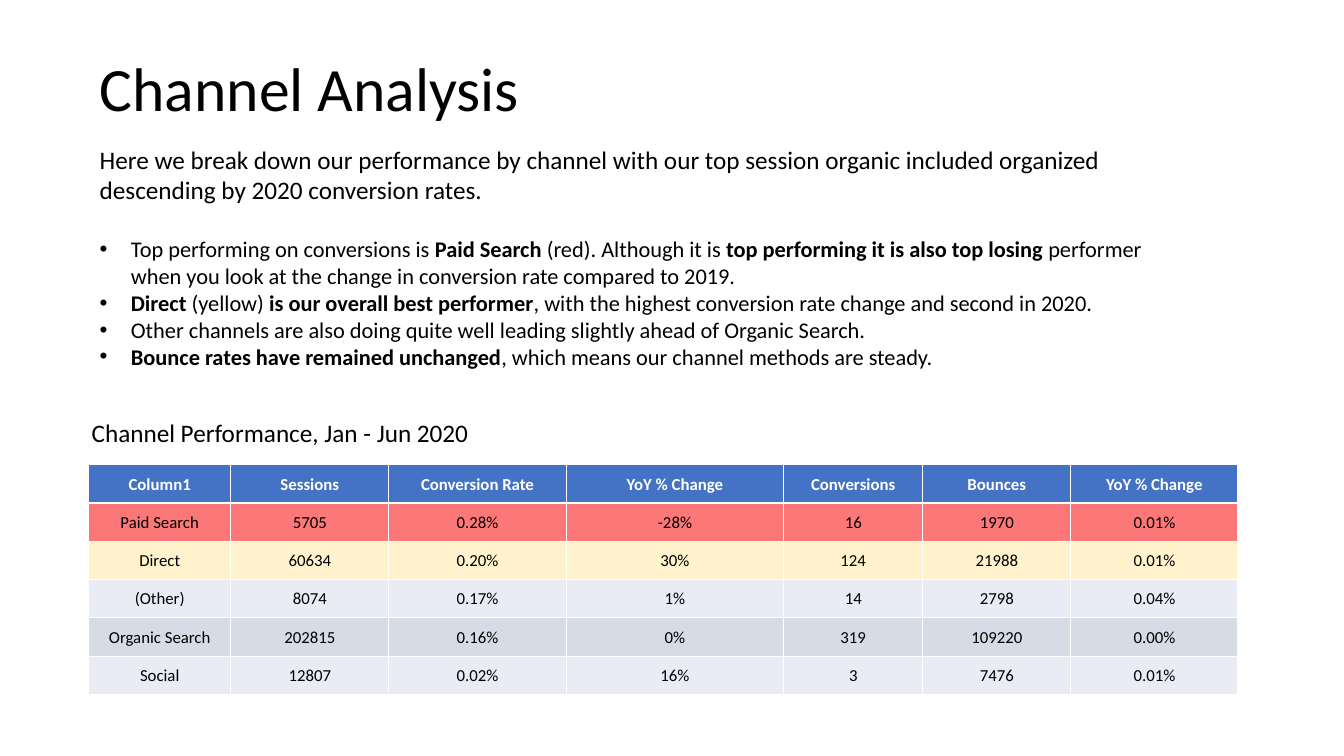
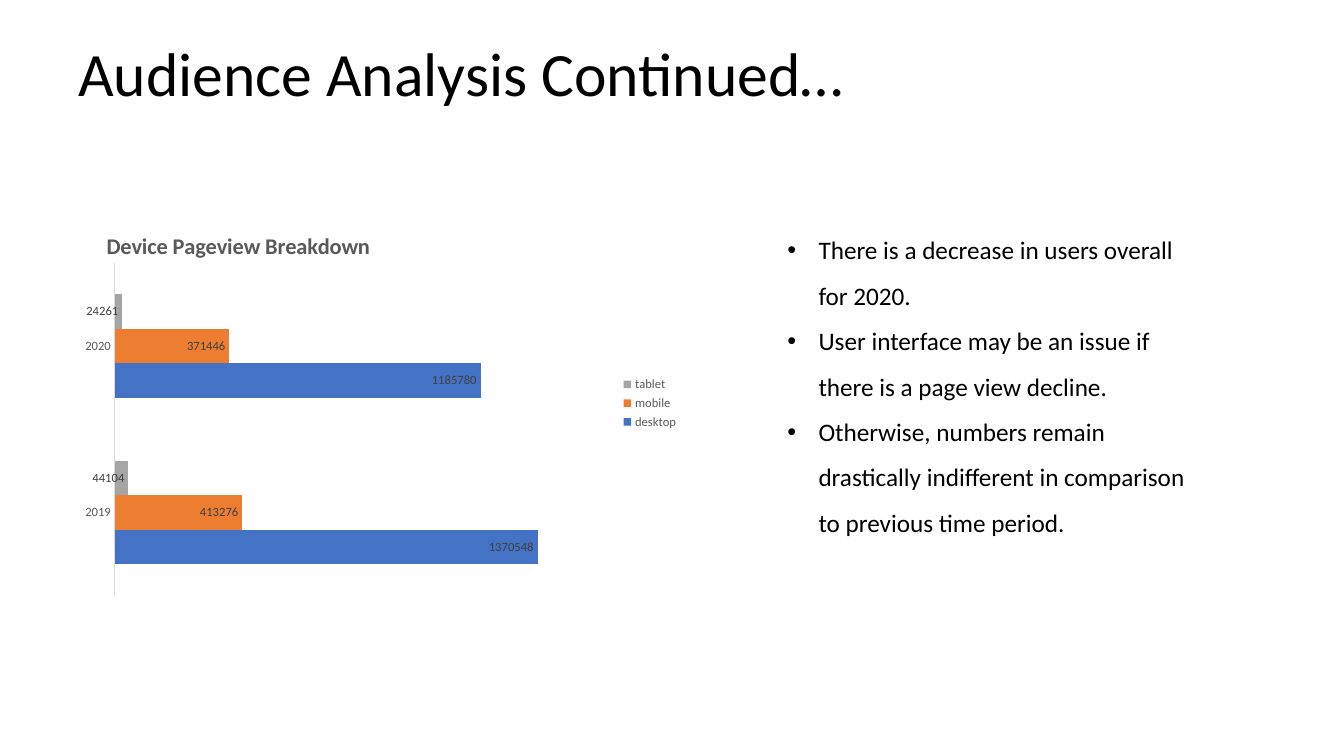
from pptx import Presentation
from pptx.chart.data import CategoryChartData
from pptx.dml.color import RGBColor
from pptx.enum.chart import XL_CHART_TYPE, XL_LABEL_POSITION, XL_LEGEND_POSITION, XL_TICK_MARK
from pptx.enum.text import MSO_ANCHOR, PP_ALIGN
from pptx.oxml import parse_xml
from pptx.oxml.ns import nsdecls
from pptx.util import Inches, Pt

FONT = "Calibri"
COLORS = {
    "text": "000000", "white": "FFFFFF", "muted": "595959", "label": "404040",
    "axis": "D9D9D9", "header": "4472C4", "red": "FC7878", "yellow": "FFF2CC",
    "light": "E9EBF5", "dark": "D6DCE5",
    "desktop": "4472C4", "mobile": "ED7D31", "tablet": "A5A5A5",
}


def color(name):
    return RGBColor.from_string(COLORS[name])


def style_font(font, size, color_name="text", bold=False):
    font.name, font.size, font.bold = FONT, Pt(size), bold
    font.color.rgb = color(color_name)


def add_bullet(paragraph):
    properties = paragraph._p.get_or_add_pPr()
    indent = Inches(0.31)
    properties.set("marL", str(indent))
    properties.set("indent", str(-indent))
    properties.append(parse_xml(f'<a:buFont {nsdecls("a")} typeface="Arial"/>'))
    properties.append(parse_xml(f'<a:buChar {nsdecls("a")} char="•"/>'))


def add_borders(cell):
    properties = cell._tc.get_or_add_tcPr()
    for side in ("lnL", "lnR", "lnT", "lnB"):
        properties.append(parse_xml(
            f'<a:{side} {nsdecls("a")} w="{Pt(1)}"><a:solidFill>'
            f'<a:srgbClr val="{COLORS["white"]}"/></a:solidFill></a:{side}>'))


def manual_layout(inner=False, **shares):
    """Build a chart layout from shares (x, y, w, h) of the chart's size."""
    target = '<c:layoutTarget val="inner"/>' if inner else ""
    modes = "".join(f'<c:{key}Mode val="edge"/>' for key in "xy")
    values = "".join(f'<c:{key} val="{value}"/>' for key, value in shares.items())
    return parse_xml(f'<c:layout {nsdecls("c")}><c:manualLayout>{target}{modes}{values}'
                     '</c:manualLayout></c:layout>')


class Deck:
    """Holds the style and the current slide; boxes are percentages of the slide's size."""

    def __init__(self):
        self.presentation = Presentation()
        self.presentation.slide_width = Inches(13.33)
        self.presentation.slide_height = Inches(7.5)
        self.slide = None

    def add_slide(self):
        self.slide = self.presentation.slides.add_slide(self.presentation.slide_layouts[6])

    def place(self, box):
        sizes = (self.presentation.slide_width, self.presentation.slide_height) * 2
        return [round(share * size / 100) for share, size in zip(box, sizes)]

    def text_frame(self, box, anchor=MSO_ANCHOR.TOP):
        frame = self.slide.shapes.add_textbox(*self.place(box)).text_frame
        frame.word_wrap = True
        frame.vertical_anchor = anchor
        return frame

    def paragraph(self, frame, text, size, bullet=False, line_spacing=None):
        """Add a paragraph; parts between ** marks are bold."""
        paragraph = frame.add_paragraph() if frame.text else frame.paragraphs[0]
        if bullet:
            add_bullet(paragraph)
        if line_spacing:
            paragraph.line_spacing = line_spacing
        for index, part in enumerate(text.split("**")):
            if part:
                run = paragraph.add_run()
                run.text = part
                style_font(run.font, size, bold=index % 2 == 1)
        return paragraph

    def title(self, text, box, anchor=MSO_ANCHOR.MIDDLE, align=PP_ALIGN.LEFT):
        paragraph = self.paragraph(self.text_frame(box, anchor), text, 44, line_spacing=0.9)
        paragraph.alignment = align

    def text(self, text, box):
        frame = self.text_frame(box)
        self.paragraph(frame, text, 18)
        return frame

    def bullets(self, frame, items, size, space_before=0, line_spacing=None):
        paragraphs = [self.paragraph(frame, item, size, True, line_spacing) for item in items]
        if space_before:
            paragraphs[0].space_before = Pt(space_before)

    def table(self, rows, fills, column_weights, box):
        left, top, width, height = self.place(box)
        table = self.slide.shapes.add_table(
            len(rows), len(column_weights), left, top, width, height).table
        for column, weight in zip(table.columns, column_weights):
            column.width = round(width * weight / sum(column_weights))
        for row_index, (values, fill) in enumerate(zip(rows, fills)):
            for column_index, value in enumerate(values):
                self.fill_cell(table.cell(row_index, column_index), value, fill)

    def fill_cell(self, cell, value, fill):
        is_header = fill == "header"
        add_borders(cell)
        cell.fill.solid()
        cell.fill.fore_color.rgb = color(fill)
        cell.margin_left = cell.margin_right = cell.margin_top = Inches(0.01)
        cell.margin_bottom = 0
        cell.vertical_anchor = MSO_ANCHOR.MIDDLE
        cell.text_frame.text = value
        paragraph = cell.text_frame.paragraphs[0]
        paragraph.alignment = PP_ALIGN.CENTER
        style_font(paragraph.runs[0].font, 12, "white" if is_header else "text", is_header)

    def bar_chart(self, title, categories, series_values, maximum, box):
        data = CategoryChartData()
        data.categories = categories
        for name, values in series_values.items():
            data.add_series(name, values)
        chart = self.slide.shapes.add_chart(
            XL_CHART_TYPE.BAR_CLUSTERED, *self.place(box), data).chart
        style_font(chart.font, 10)

        chart.has_title = True
        chart.chart_title.text_frame.text = title
        style_font(chart.chart_title.text_frame.paragraphs[0].runs[0].font, 16, "muted", True)
        title_element = chart.chart_title._element
        for layout in title_element.findall("{*}layout"):
            title_element.remove(layout)
        title_element.find("{*}tx").addnext(manual_layout(x=0.05, y=0.06))
        chart.chart_title.include_in_layout = False

        chart.has_legend = True
        chart.legend.position = XL_LEGEND_POSITION.RIGHT
        chart.legend.include_in_layout = False
        style_font(chart.legend.font, 9, "muted")

        chart.value_axis.visible = False
        chart.value_axis.has_major_gridlines = False
        chart.value_axis.minimum_scale = 0
        chart.value_axis.maximum_scale = maximum
        axis = chart.category_axis
        axis.major_tick_mark = axis.minor_tick_mark = XL_TICK_MARK.NONE
        axis.format.line.color.rgb = color("axis")
        axis.format.line.width = Pt(0.75)
        style_font(axis.tick_labels.font, 9, "muted")

        plot = chart.plots[0]
        plot.gap_width = 182
        plot.vary_by_categories = False
        for series in plot.series:
            series.format.fill.solid()
            series.format.fill.fore_color.rgb = color(series.name)
            labels = series.data_labels
            labels.show_value = True
            labels.position = XL_LABEL_POSITION.INSIDE_END
            style_font(labels.font, 9, "label")

        plot_area = plot._element.getparent()
        for layout in plot_area.findall("{*}layout"):
            plot_area.remove(layout)
        plot_area.insert(0, manual_layout(inner=True, x=0.07, y=0.15, w=0.8, h=0.83))


def channel_slide(deck):
    deck.add_slide()
    deck.title("Channel Analysis", (6.68, 2.4, 86.25, 19.33))
    deck.table(
        [
            ("Column1", "Sessions", "Conversion Rate", "YoY % Change",
             "Conversions", "Bounces", "YoY % Change"),
            ("Paid Search", "5705", "0.28%", "-28%", "16", "1970", "0.01%"),
            ("Direct", "60634", "0.20%", "30%", "124", "21988", "0.01%"),
            ("(Other)", "8074", "0.17%", "1%", "14", "2798", "0.04%"),
            ("Organic Search", "202815", "0.16%", "0%", "319", "109220", "0.00%"),
            ("Social", "12807", "0.02%", "16%", "3", "7476", "0.01%"),
        ],
        ("header", "red", "yellow", "light", "dark", "light"),
        (1.41, 1.57, 1.76, 2.16, 1.38, 1.47, 1.66),
        (6.6, 61.47, 85.52, 30.4),
    )
    deck.text("Channel Performance, Jan - Jun 2020", (6.08, 54.53, 31, 5.33))
    summary = deck.text(
        "Here we break down our performance by channel with our top session organic "
        "included organized descending by 2020 conversion rates.", (6.68, 18.4, 83.05, 35.47))
    deck.bullets(summary, (
        "Top performing on conversions is **Paid Search** (red). Although it is "
        "**top performing it is also top losing **performer when you look at the change "
        "in conversion rate compared to 2019.",
        "**Direct **(yellow) **is our overall best performer**, with the highest "
        "conversion rate change and second in 2020.",
        "Other channels are also doing quite well leading slightly ahead of Organic Search.",
        "**Bounce rates have remained unchanged**, which means our channel methods are steady.",
    ), 16, space_before=22)


def audience_slide(deck):
    deck.add_slide()
    deck.title("Audience Analysis Continued…", (4.13, 2.67, 60.39, 12.53),
               MSO_ANCHOR.BOTTOM, PP_ALIGN.CENTER)
    deck.bar_chart(
        "Device Pageview Breakdown", ("2019", "2020"),
        {"desktop": (1370548, 1185780), "mobile": (413276, 371446), "tablet": (44104, 24261)},
        1600000, (5.33, 26.8, 45.91, 53.07))
    deck.bullets(deck.text_frame((57.84, 28.4, 32.56, 43.07)), (
        "There is a decrease in users overall for 2020.",
        "User interface may be an issue if there is a page view decline.",
        "Otherwise, numbers remain drastically indifferent in comparison to previous time period.",
    ), 18, line_spacing=1.5)


def main():
    deck = Deck()
    channel_slide(deck)
    audience_slide(deck)
    deck.presentation.save("out.pptx")


if __name__ == "__main__":
    main()
